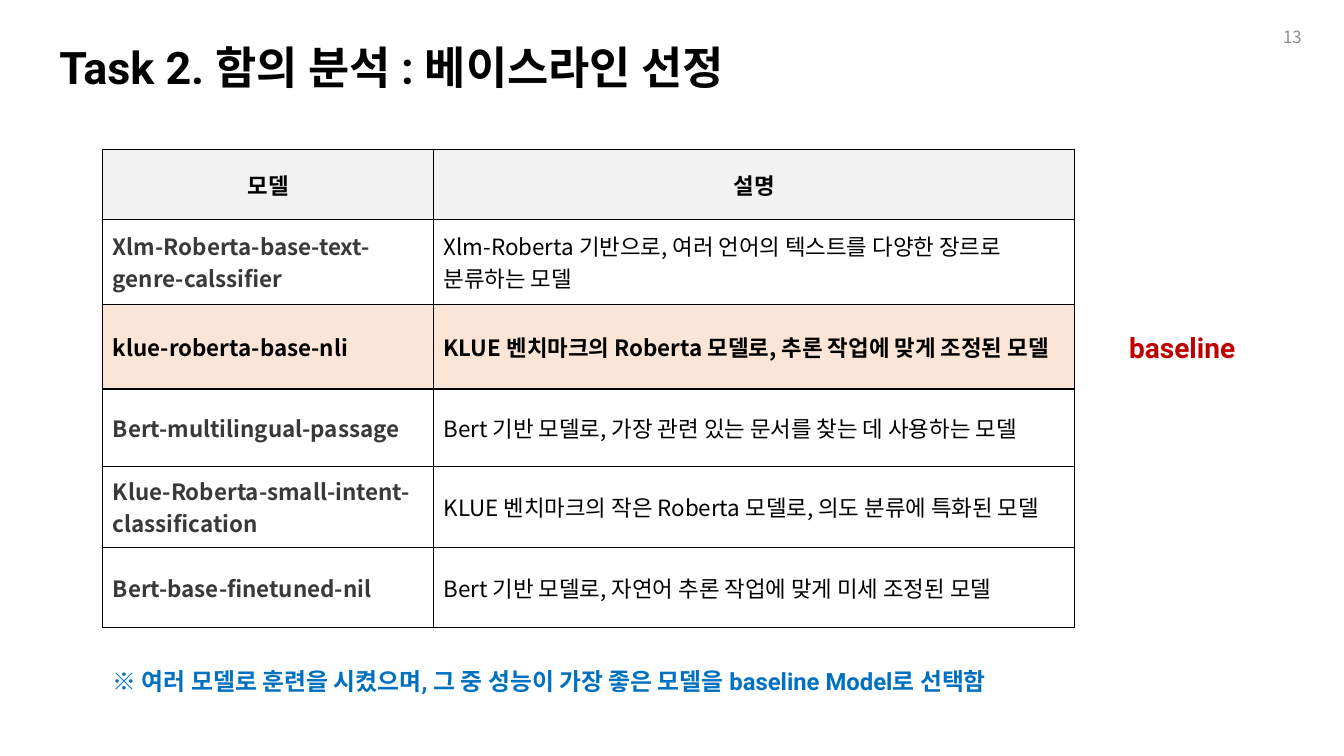
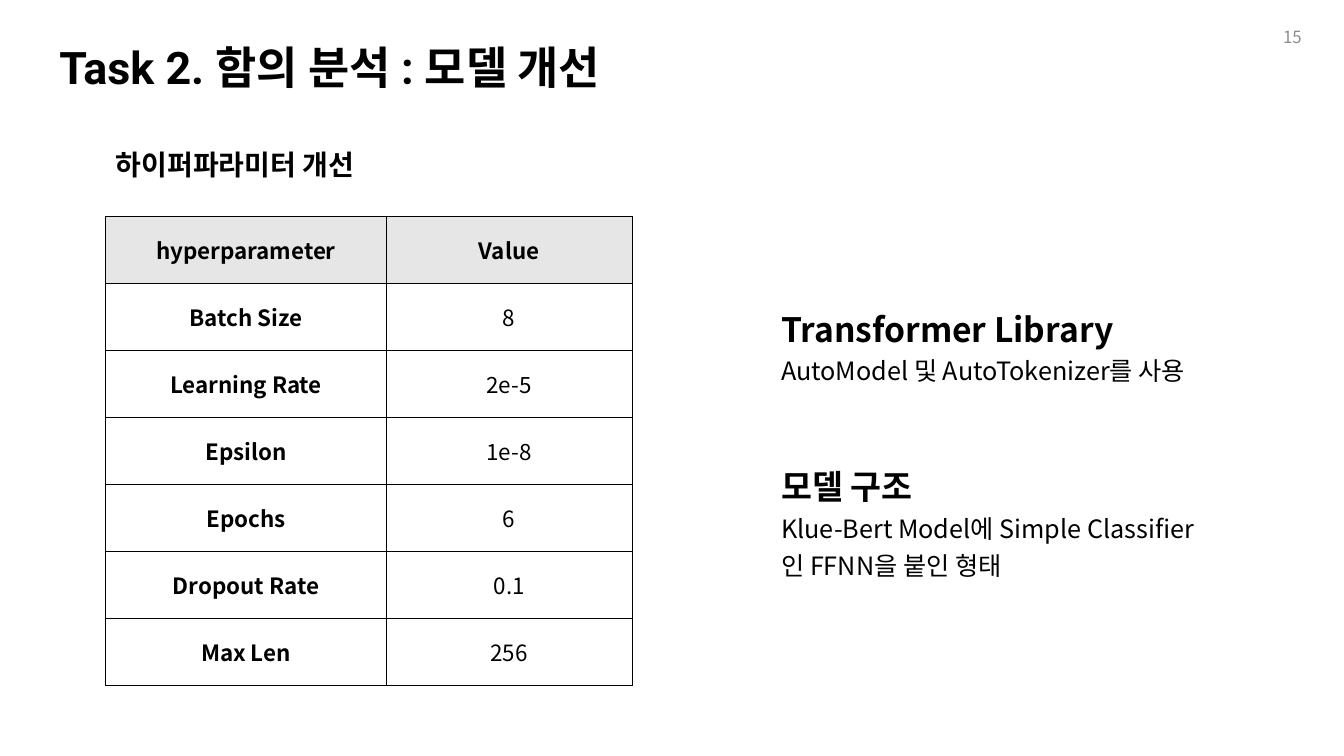
from lxml.etree import SubElement
from pptx import Presentation
from pptx.dml.color import RGBColor
from pptx.enum.text import MSO_ANCHOR, PP_ALIGN
from pptx.oxml.ns import qn
from pptx.util import Inches, Pt

HEAD, BODY = "Roboto", "Noto Sans CJK KR"
HUES = {
    "ink": "000000", "soft": "3B3838", "grey": "8C8C8C", "blue": "0070C0",
    "red": "C00000", "white": "FFFFFF", "peach": "FBE5D6",
    "light": "F2F2F2", "silver": "E7E6E6",
}
LEFT, MID = PP_ALIGN.LEFT, PP_ALIGN.CENTER

# Content
MODELS = [
    ("모델", "설명"),
    ("Xlm-Roberta-base-text-genre-calssifier",
     "Xlm-Roberta 기반으로, 여러 언어의 텍스트를 다양한 장르로 분류하는 모델"),
    ("klue-roberta-base-nli",
     "KLUE 벤치마크의 Roberta 모델로, 추론 작업에 맞게 조정된 모델"),
    ("Bert-multilingual-passage",
     "Bert 기반 모델로, 가장 관련 있는 문서를 찾는 데 사용하는 모델"),
    ("Klue-Roberta-small-intent-classification",
     "KLUE 벤치마크의 작은 Roberta 모델로, 의도 분류에 특화된 모델"),
    ("Bert-base-finetuned-nil",
     "Bert 기반 모델로, 자연어 추론 작업에 맞게 미세 조정된 모델"),
]
CHOSEN = 2
PARAMS = [
    ("hyperparameter", "Value"), ("Batch Size", "8"),
    ("Learning Rate", "2e-5"), ("Epsilon", "1e-8"), ("Epochs", "6"),
    ("Dropout Rate", "0.1"), ("Max Len", "256"),
]
NOTES = [
    (2.92, 1.1, "Transformer Library", "AutoModel 및 AutoTokenizer를 사용"),
    (4.48, 1.56, "모델 구조",
     "Klue-Bert Model에 Simple Classifier인 FFNN을 붙인 형태"),
]


def write(para, text, size, hue="ink", bold=True, font=BODY, align=LEFT,
          gap=None):
    para.alignment = align
    if gap:
        para.line_spacing = gap
    run = para.add_run()
    run.text = text
    face = run.font
    face.size, face.bold, face.name = Pt(size), bold, font
    face.color.rgb = RGBColor.from_string(HUES[hue])
    SubElement(run._r.rPr, qn("a:ea"), typeface=BODY)


def frame(slide, box, anchor=MSO_ANCHOR.MIDDLE):
    area = slide.shapes.add_textbox(*map(Inches, box)).text_frame
    area.word_wrap = True
    area.vertical_anchor = anchor
    return area


def label(slide, box, text, size, **style):
    write(frame(slide, box).paragraphs[0], text, size, **style)


def start(deck, title, number):
    slide = deck.slides.add_slide(deck.slide_layouts[6])
    label(slide, (0.49, 0.37, 11.5, 0.65), title, 32, font=HEAD, gap=0.9)
    label(slide, (10.01, 0.17, 3, 0.4), number, 12, hue="grey", bold=False,
          align=PP_ALIGN.RIGHT)
    return slide


def border(cell):
    props = cell._tc.get_or_add_tcPr()
    for side in ("lnL", "lnR", "lnT", "lnB"):
        line = SubElement(props, qn("a:" + side), w=str(Pt(1)))
        fill = SubElement(line, qn("a:solidFill"))
        SubElement(fill, qn("a:srgbClr"), val=HUES["ink"])


def grid(slide, spot, wide, high, rows, style):
    """Draw a table; style(row, col) gives fill, text hue, bold, align."""
    size = (sum(wide), sum(high))
    table = slide.shapes.add_table(
        len(rows), len(wide), *map(Inches, spot + size)).table
    for col, width in zip(table.columns, wide):
        col.width = Inches(width)
    for r, (row, height) in enumerate(zip(rows, high)):
        table.rows[r].height = Inches(height)
        for c, text in enumerate(row):
            cell = table.cell(r, c)
            fill, hue, bold, align = style(r, c)
            border(cell)
            cell.fill.solid()
            cell.fill.fore_color.rgb = RGBColor.from_string(HUES[fill])
            cell.vertical_anchor = MSO_ANCHOR.MIDDLE
            write(cell.text_frame.paragraphs[0], text, 16, hue, bold,
                  align=align)


def model_style(r, c):
    if r == 0:
        return "light", "ink", True, MID
    if r == CHOSEN:
        return "peach", "ink", True, LEFT
    return "white", "ink" if c else "soft", c == 0, LEFT


def param_style(r, c):
    return "white" if r else "silver", "ink", r == 0 or c == 0, MID


def main():
    deck = Presentation()
    deck.slide_width, deck.slide_height = Inches(13.33), Inches(7.5)

    # Baseline choice
    slide = start(deck, "Task 2. 함의 분석 : 베이스라인 선정", "13")
    grid(slide, (1.02, 1.48), (3.28, 6.36),
         (0.7, 0.84, 0.84, 0.77, 0.8, 0.8), MODELS, model_style)
    label(slide, (1.02, 6.52, 9.64, 0.53),
          "※ 여러 모델로 훈련을 시켰으며, 그 중 성능이 가장 좋은 모델을 "
          "baseline Model로 선택함", 17, hue="blue", font=HEAD, gap=0.8)
    label(slide, (11.1, 3.2, 1.41, 0.53), "baseline", 20, hue="red",
          font=HEAD, gap=0.9)

    # Model tuning
    slide = start(deck, "Task 2. 함의 분석 : 모델 개선", "15")
    label(slide, (1.05, 1.33, 3.4, 0.65), "하이퍼파라미터 개선", 20,
          font=HEAD, gap=0.9)
    count = len(PARAMS)
    grid(slide, (1.05, 2.15), (2.78, 2.44), [4.65 / count] * count,
         PARAMS, param_style)
    for top, height, head, text in NOTES:
        area = frame(slide, (7.65, top, 4.4, height), MSO_ANCHOR.TOP)
        write(area.paragraphs[0], head, 24, gap=1.23)
        write(area.add_paragraph(), text, 18, bold=False, gap=1.23)

    deck.save("out.pptx")


if __name__ == "__main__":
    main()
